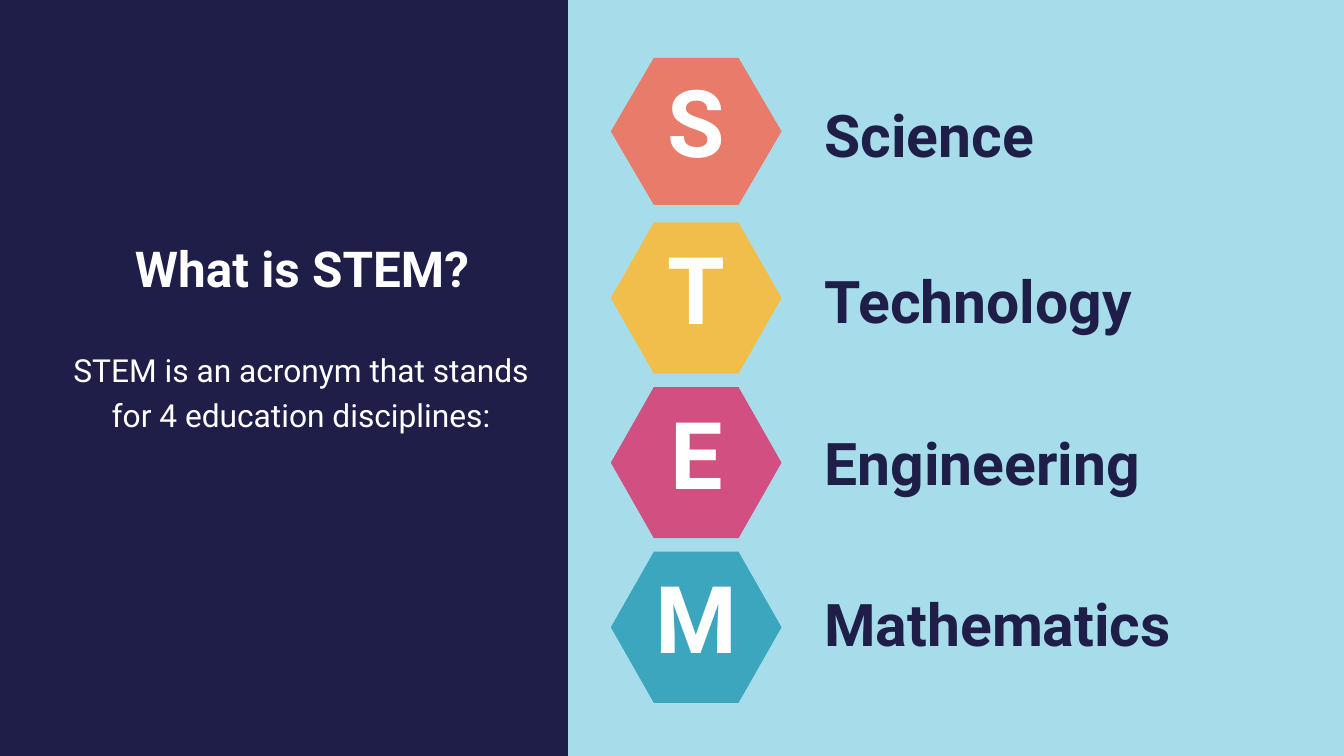
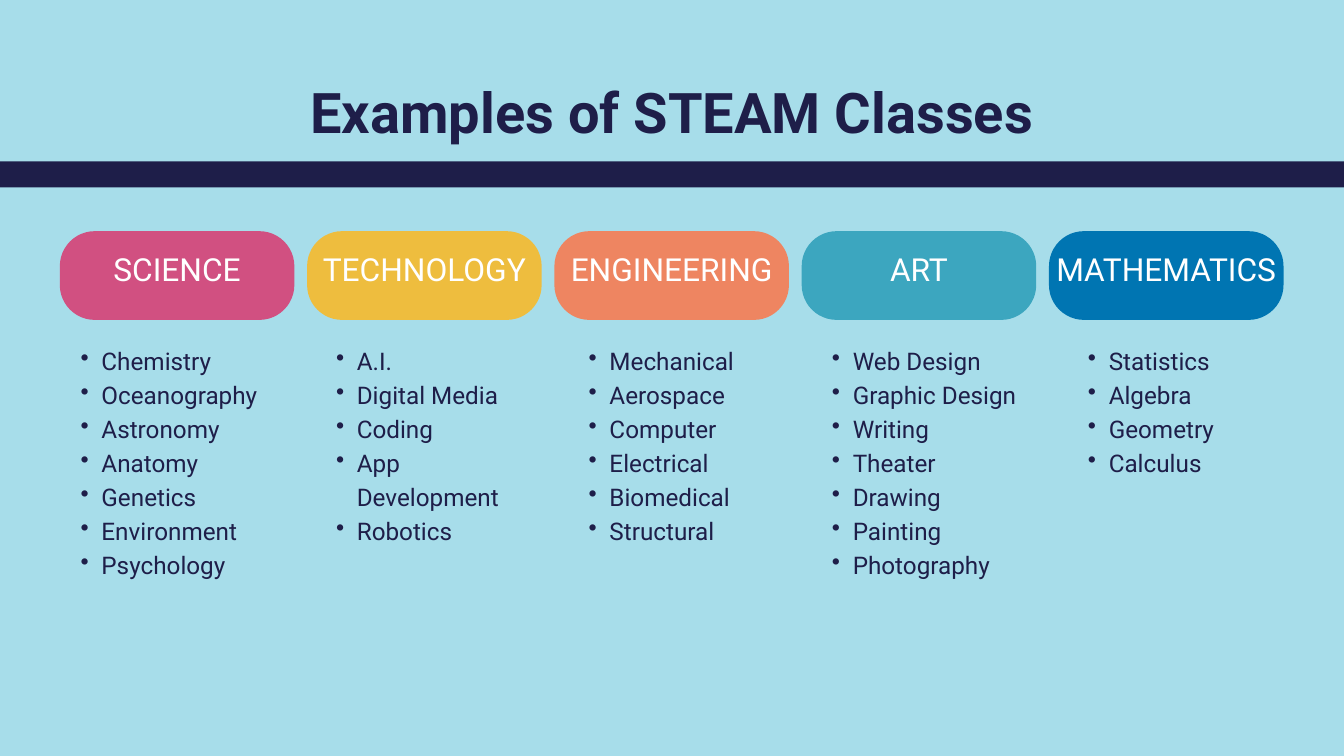
from dataclasses import dataclass
from typing import NamedTuple

from lxml import etree
from pptx import Presentation, util as u
from pptx.dml.color import RGBColor
from pptx.enum import shapes as s, text as t
from pptx.oxml import ns

SLIDE_WIDTH, SLIDE_HEIGHT = u.Inches(20), u.Inches(11.25)
COLUMN, ROW = SLIDE_WIDTH / 20, SLIDE_HEIGHT / 11.25

SKY = RGBColor(0xA7, 0xDD, 0xEA)
NAVY = RGBColor(0x1E, 0x1E, 0x49)
WHITE = RGBColor(0xFF, 0xFF, 0xFF)
CORAL = RGBColor(0xE8, 0x7B, 0x69)
AMBER = RGBColor(0xF2, 0xBE, 0x4B)
PINK = RGBColor(0xD1, 0x50, 0x81)
TEAL = RGBColor(0x3C, 0xA6, 0xBF)
GOLD = RGBColor(0xEE, 0xBD, 0x3E)
ORANGE = RGBColor(0xEE, 0x85, 0x61)
BLUE = RGBColor(0x00, 0x75, 0xB2)

FONT = "Roboto"
LINE_RATIO = 1.4
BADGE_INSET = 0.06
BULLET_INDENT = 0.31


class Box(NamedTuple):
    """An area measured in columns and rows of the slide grid."""
    left: float
    top: float
    width: float
    height: float

    def lengths(self) -> tuple[int, ...]:
        units = (COLUMN, ROW, COLUMN, ROW)
        return tuple(round(value * unit) for value, unit in zip(self, units))


class Style(NamedTuple):
    size: float
    color: RGBColor
    bold: bool = False
    alignment: t.PP_ALIGN = t.PP_ALIGN.CENTER


PANEL_TITLE = Style(53, WHITE, bold=True)
PAGE_TITLE = Style(60, NAVY, bold=True)
INTRO = Style(34, WHITE)
LETTER = Style(100, WHITE, bold=True)
WORD = Style(63, NAVY, bold=True, alignment=t.PP_ALIGN.LEFT)
PILL_LABEL = Style(34, WHITE)
CLASS_ITEM = Style(26, NAVY, alignment=t.PP_ALIGN.LEFT)


@dataclass(frozen=True)
class Discipline:
    word: str
    color: RGBColor
    hexagon_height: float
    word_top: float
    word_width: float


@dataclass(frozen=True)
class Subject:
    name: str
    color: RGBColor
    list_left: float
    classes: tuple[str, ...]


DISCIPLINES = (
    Discipline("Science", CORAL, 2.19, 1.29, 3.58),
    Discipline("Technology", AMBER, 2.25, 3.77, 5.05),
    Discipline("Engineering", PINK, 2.25, 6.17, 5.05),
    Discipline("Mathematics", TEAL, 2.25, 8.57, 6.14),
)

SUBJECTS = (
    Subject("SCIENCE", PINK, 0.89, (
        "Chemistry", "Oceanography", "Astronomy", "Anatomy", "Genetics",
        "Environment", "Psychology")),
    Subject("TECHNOLOGY", GOLD, 4.69, (
        "A.I.", "Digital Media", "Coding", "App Development", "Robotics")),
    Subject("ENGINEERING", ORANGE, 8.45, (
        "Mechanical", "Aerospace", "Computer", "Electrical", "Biomedical",
        "Structural")),
    Subject("ART", TEAL, 12.07, (
        "Web Design", "Graphic Design", "Writing", "Theater", "Drawing",
        "Painting", "Photography")),
    Subject("MATHEMATICS", BLUE, 15.88, (
        "Statistics", "Algebra", "Geometry", "Calculus")),
)


def write(shape, content: str, style: Style, inset: float = 0,
          anchor: t.MSO_ANCHOR = t.MSO_ANCHOR.TOP) -> None:
    """Fill a shape with text whose line height follows its size."""
    frame = shape.text_frame
    frame.text = content
    frame.word_wrap = True
    frame.auto_size = t.MSO_AUTO_SIZE.NONE
    frame.vertical_anchor = anchor
    frame.margin_left = frame.margin_right = u.Inches(inset)
    frame.margin_top = frame.margin_bottom = u.Inches(inset)
    for paragraph in frame.paragraphs:
        paragraph.alignment = style.alignment
        paragraph.line_spacing = u.Pt(style.size * LINE_RATIO)
        for run in paragraph.runs:
            run.font.name = FONT
            run.font.size = u.Pt(style.size)
            run.font.bold = style.bold
            run.font.color.rgb = style.color


def add_text(shapes, box: Box, content: str, style: Style, **options):
    shape = shapes.add_textbox(*box.lengths())
    write(shape, content, style, **options)
    return shape


def add_title(slide, box: Box, content: str, style: Style) -> None:
    """Place the title placeholder in front of the shapes drawn so far."""
    title = slide.shapes.title
    title.left, title.top, title.width, title.height = box.lengths()
    write(title, content, style)
    title.element.getparent().append(title.element)


def add_solid(shapes, kind: s.MSO_SHAPE, box: Box, color: RGBColor):
    shape = shapes.add_shape(kind, *box.lengths())
    shape.shadow.inherit = False
    shape.fill.solid()
    shape.fill.fore_color.rgb = color
    shape.line.fill.background()
    return shape


def add_badge(slide, kind: s.MSO_SHAPE, box: Box, corner: float,
              color: RGBColor, label: str, label_box: Box, style: Style) -> None:
    """Group a coloured outline with its label; corner is in grid units."""
    group = slide.shapes.add_group_shape()
    outline = add_solid(group.shapes, kind, box, color)
    outline.adjustments[0] = corner / box.height
    add_text(group.shapes, label_box, label, style,
             inset=BADGE_INSET, anchor=t.MSO_ANCHOR.MIDDLE)


def add_bullets(shape) -> None:
    for paragraph in shape.text_frame.paragraphs:
        paragraph.level = 1
        properties = paragraph._p.get_or_add_pPr()
        properties.set("marL", str(u.Inches(2 * BULLET_INDENT)))
        properties.set("indent", str(-u.Inches(BULLET_INDENT)))
        etree.SubElement(properties, ns.qn("a:buChar")).set("char", "•")


def build_definition(slide) -> None:
    add_solid(slide.shapes, s.MSO_SHAPE.RECTANGLE, Box(0, 0, 8.45, 11.25), NAVY)
    add_title(slide, Box(1.36, 3.39, 6.27, 0.99), "What is STEM?", PANEL_TITLE)
    add_text(slide.shapes, Box(1.05, 5.13, 6.86, 1.95),
             "STEM is an acronym that stands for 4 education disciplines:", INTRO)
    rise = 0.6
    for index, discipline in enumerate(DISCIPLINES):
        height = discipline.hexagon_height
        hexagon = Box(9.09, 0.86 + 2.45 * index, 2.54, height)
        letter = Box(9.45, hexagon.top - rise, 1.83, height + rise)
        add_badge(slide, s.MSO_SHAPE.HEXAGON, hexagon, 0.64, discipline.color,
                  discipline.word[0], letter, LETTER)
        word = Box(12.27, discipline.word_top, discipline.word_width, 1.18)
        add_text(slide.shapes, word, discipline.word, WORD)


def build_classes(slide) -> None:
    add_title(slide, Box(3.36, 0.99, 13.28, 1.14),
              "Examples of STEAM Classes", PAGE_TITLE)
    add_solid(slide.shapes, s.MSO_SHAPE.RECTANGLE, Box(0, 2.4, 20, 0.39), NAVY)
    rise = 0.28
    for index, subject in enumerate(SUBJECTS):
        pill = Box(0.89 + 3.68 * index, 3.44, 3.49, 1.32)
        label = pill._replace(top=pill.top - rise, height=pill.height + rise)
        add_badge(slide, s.MSO_SHAPE.ROUNDED_RECTANGLE, pill, 0.52,
                  subject.color, subject.name, label, PILL_LABEL)
        area = Box(subject.list_left, 5.08, 3.26, 0.5 * len(subject.classes))
        class_list = add_text(slide.shapes, area, "\n".join(subject.classes),
                              CLASS_ITEM)
        class_list.text_frame.auto_size = t.MSO_AUTO_SIZE.SHAPE_TO_FIT_TEXT
        add_bullets(class_list)


def main() -> None:
    presentation = Presentation()
    presentation.slide_width, presentation.slide_height = SLIDE_WIDTH, SLIDE_HEIGHT
    background = presentation.slide_master.background.fill
    background.solid()
    background.fore_color.rgb = SKY
    title_only = presentation.slide_layouts.get_by_name("Title Only")
    for build in (build_definition, build_classes):
        build(presentation.slides.add_slide(title_only))
    presentation.save("out.pptx")


if __name__ == "__main__":
    main()
